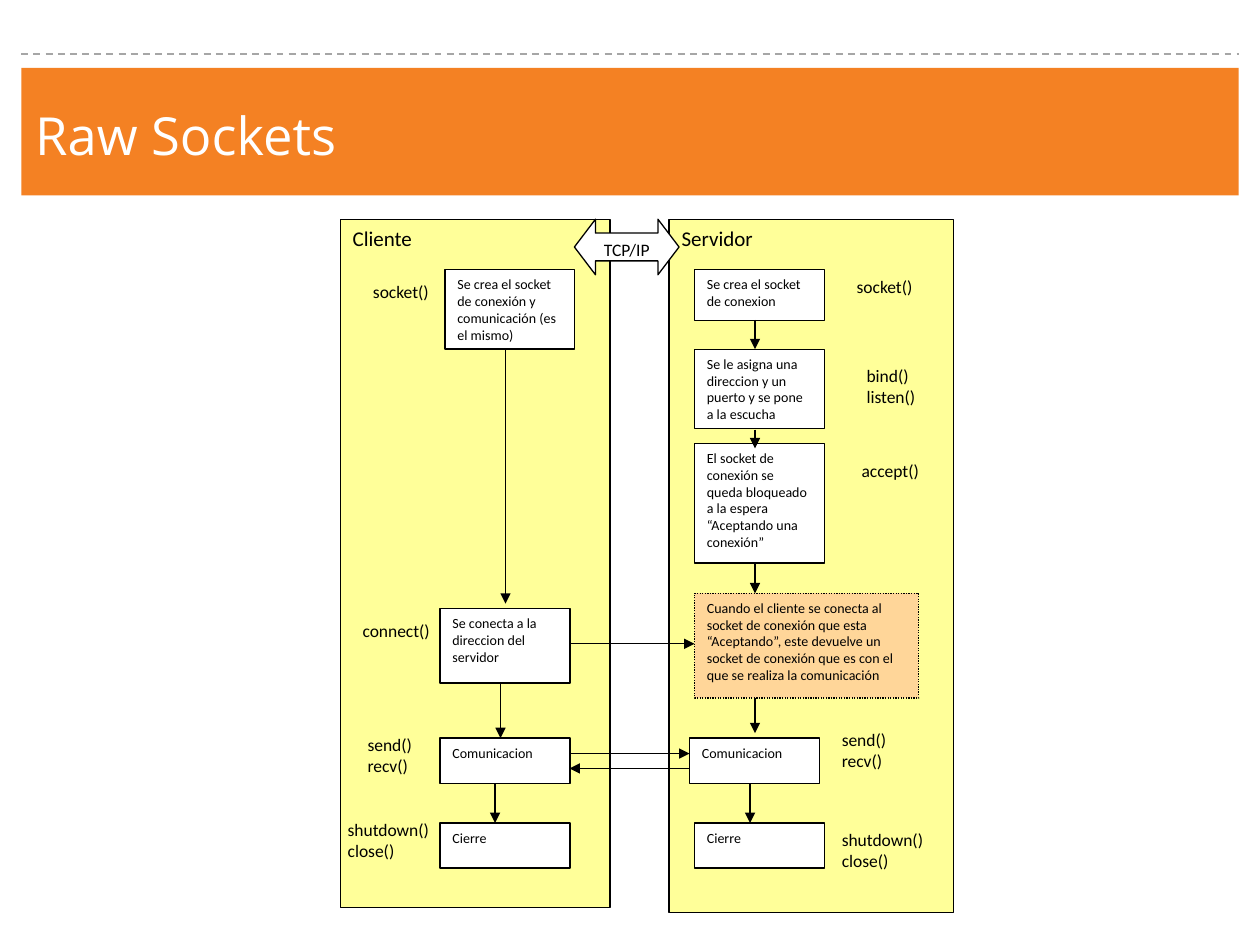
from pptx import Presentation
from pptx.dml.color import RGBColor
from pptx.enum import dml, shapes, text
from pptx.oxml import ns
from pptx.util import Cm, Pt
from lxml import etree

WHITE = RGBColor(255, 255, 255)
BLACK = RGBColor(0, 0, 0)
GREY = RGBColor(0xA6, 0xA6, 0xA6)
ORANGE = RGBColor(0xF4, 0x81, 0x23)
YELLOW = RGBColor(0xFF, 0xFF, 0x99)
PEACH = RGBColor(0xFF, 0xCC, 0x99)
KIND = shapes.MSO_SHAPE
DASH = dml.MSO_LINE

CLIENT = {
    "name": "Cliente",
    "steps": [
        (2.11, 1.02, 1.6, "Se crea el socket de conexión y comunicación (es el mismo)"),
        (2.01, 7.85, 1.5, "Se conecta a la direccion del servidor"),
        (2.01, 10.46, 0.91, "Comunicacion"),
        (2.01, 12.17, 0.91, "Cierre"),
    ],
    "calls": [
        (0.41, 1.12, "socket()"),
        (0.2, 7.95, "connect()"),
        (0.3, 10.26, "send()\nrecv()"),
        (-0.1, 11.96, "shutdown()\nclose()"),
    ],
    "flow": [(3.33, 2.62, 7.75), (3.23, 9.35, 10.46), (3.12, 11.38, 12.17)],
}
SERVER = {
    "name": "Servidor",
    "steps": [
        (0.51, 1.02, 1.02, "Se crea el socket de conexion"),
        (0.51, 2.62, 1.6, "Se le asigna una direccion y un puerto y se pone a la escucha"),
        (0.51, 4.52, 2.41, "El socket de conexión se queda bloqueado a la espera “Aceptando una conexión”"),
        (0.41, 10.46, 0.91, "Comunicacion"),
        (0.51, 12.17, 0.91, "Cierre"),
    ],
    "calls": [
        (3.53, 1.02, "socket()"),
        (3.73, 2.82, "bind()\nlisten()"),
        (3.63, 4.72, "accept()"),
        (3.23, 10.16, "send()\nrecv()"),
        (3.23, 12.17, "shutdown()\nclose()"),
    ],
    "flow": [(1.73, 2.03, 2.62), (1.73, 4.24, 4.62), (1.73, 6.93, 7.54),
             (1.73, 9.65, 10.36), (1.63, 11.38, 12.17)],
}


def write(shape, words, size, color=BLACK, font="Calibri", align=text.PP_ALIGN.LEFT,
          anchor=text.MSO_ANCHOR.TOP):
    """Fill a shape with evenly styled text."""
    frame = shape.text_frame
    frame.word_wrap = True
    frame.vertical_anchor = anchor
    frame.text = words
    for para in frame.paragraphs:
        para.alignment = align
        para.font.size = Pt(size)
        para.font.name = font
        para.font.color.rgb = color


def block(slide, x, y, w, h, fill, kind=KIND.RECTANGLE, edge=BLACK):
    """Add a flat filled shape, outlined unless edge is None."""
    shape = slide.shapes.add_shape(kind, Cm(x), Cm(y), Cm(w), Cm(h))
    shape.shadow.inherit = False
    shape.fill.solid()
    shape.fill.fore_color.rgb = fill
    if edge is None:
        shape.line.fill.background()
    else:
        shape.line.color.rgb = edge
        shape.line.width = Pt(0.75)
    return shape


def label(slide, x, y, w, h, words, size, **style):
    """Add a text box."""
    box = slide.shapes.add_textbox(Cm(x), Cm(y), Cm(w), Cm(h))
    write(box, words, size, **style)
    return box


def rule(slide, x1, y1, x2, y2, color=BLACK, width=0.75):
    """Add a straight line without a shadow."""
    line = slide.shapes.add_connector(
        shapes.MSO_CONNECTOR.STRAIGHT, Cm(x1), Cm(y1), Cm(x2), Cm(y2))
    line.line.color.rgb = color
    line.line.width = Pt(width)
    etree.SubElement(line._element.spPr, ns.qn("a:effectLst"))
    return line


def arrow(slide, *ends):
    """Add a line with a triangle at its end."""
    line = rule(slide, *ends)
    etree.SubElement(line.line._get_or_add_ln(), ns.qn("a:tailEnd"), type="triangle")


def header(slide, x, y, w, h):
    """Draw the dashed rule and the title band."""
    rule(slide, x, y, x + w, y, GREY, 1).line.dash_style = DASH.DASH
    block(slide, x, y + 0.28, w, h - 0.28, ORANGE, edge=None)
    title = label(slide, x + 0.03, y + 0.74, w - 0.06, 2.06, "Raw Sockets", 30,
                  color=WHITE, font="Open Sans", anchor=text.MSO_ANCHOR.MIDDLE)
    title.text_frame.paragraphs[0].line_spacing = 0.7


def lane(slide, x, y, w, h, side):
    """Draw one side of the exchange with its steps, calls and flow."""
    write(block(slide, x, y, w, h, YELLOW), side["name"], 12)
    for dx, dy, tall, words in side["steps"]:
        write(block(slide, x + dx, y + dy, 2.62, tall, WHITE), words, 8)
    for dx, dy, words in side["calls"]:
        label(slide, x + dx, y + dy, 2.92, 1.7, words, 10)
    for dx, top, end in side["flow"]:
        arrow(slide, x + dx, y + top, x + dx, y + end)


def accepted(slide, x, y, w, h):
    """Draw the dotted note on the accepted connection."""
    note = block(slide, x, y, w, h, PEACH)
    note.line.dash_style = DASH.ROUND_DOT
    tint = note.fill._xPr.find(".//" + ns.qn("a:srgbClr"))
    etree.SubElement(tint, ns.qn("a:alpha"), val="79000")
    write(note, "Cuando el cliente se conecta al socket de conexión que esta "
          "“Aceptando”, este devuelve un socket de conexión que es con el que "
          "se realiza la comunicación", 8)


def links(slide, x, y, w):
    """Draw the exchange between both lanes."""
    arrow(slide, x, y + 4.14 + 4.42, x + w, y + 4.14 + 4.42)
    arrow(slide, x, y + 10.77, x + w - 0.1, y + 10.77)
    arrow(slide, x + w - 0.1, y + 11.07, x, y + 11.07)
    net = block(slide, x + 0.1, y, 2.11, 1.12, WHITE, KIND.LEFT_RIGHT_ARROW)
    net.adjustments[0] = 0.5
    net.adjustments[1] = 0.38
    write(net, "TCP/IP", 10, align=text.PP_ALIGN.CENTER)
    frame = net.text_frame
    frame.margin_left = frame.margin_right = 0


def main():
    """Build and save the slide."""
    deck = Presentation()
    deck.slide_width, deck.slide_height = Cm(25.4), Cm(19.05)
    slide = deck.slides.add_slide(deck.slide_layouts[6])
    header(slide, 0.43, 1.09, 24.54, 2.85)
    lane(slide, 13.49, 4.42, 5.74, 13.97, SERVER)
    lane(slide, 6.86, 4.42, 5.44, 13.87, CLIENT)
    accepted(slide, 14, 11.96, 4.52, 2.11)
    links(slide, 11.48, 4.42, 2.52)
    deck.save("out.pptx")


if __name__ == "__main__":
    main()
